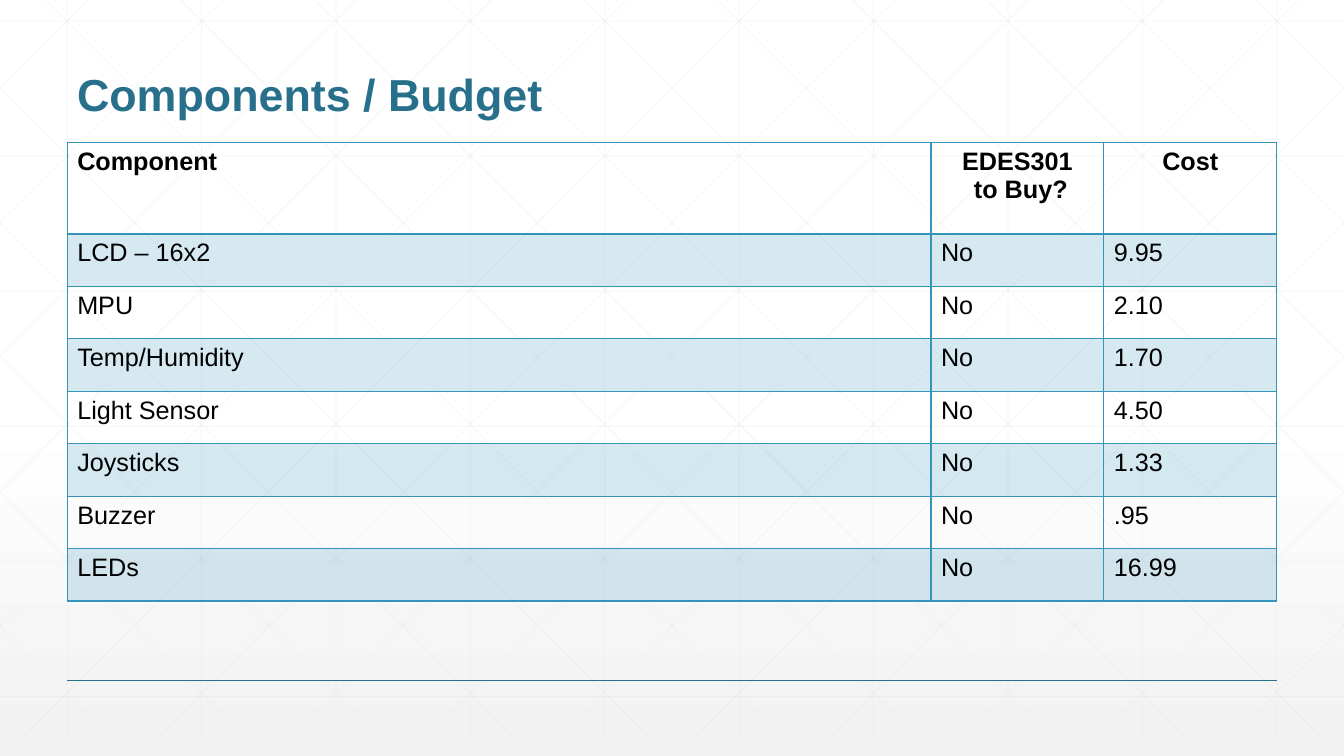
from dataclasses import dataclass

from lxml.etree import SubElement as Sub
from pptx import Presentation
from pptx.dml.color import RGBColor as Rgb
from pptx.enum.shapes import MSO_CONNECTOR as Conn
from pptx.enum.text import MSO_ANCHOR as Anchor, PP_ALIGN as Align
from pptx.oxml.ns import qn
from pptx.util import Pt


@dataclass(frozen=True)
class Theme:
    font: str = "Arial"
    title: Rgb = Rgb(0x27, 0x6F, 0x8B)
    accent: Rgb = Rgb(0x34, 0x94, 0xBA)
    text: Rgb = Rgb(0, 0, 0)
    grid: Rgb = Rgb(0xD9, 0xD9, 0xD9)
    top: Rgb = Rgb(0xFF, 0xFF, 0xFF)
    base: Rgb = Rgb(0xF2, 0xF2, 0xF2)
    big: int = 32
    body: int = 18


THEME = Theme()
WIDE, HIGH = 960, 540
LEFT, SPAN = 48, 864
STEP = 96
FLOOR = 525  # lower end of the grid

HEAD = ["Component", "EDES301\n to Buy?", "Cost"]
PARTS = [
    ("LCD – 16x2", "9.95"),
    ("MPU", "2.10"),
    ("Temp/Humidity", "1.70"),
    ("Light Sensor", "4.50"),
    ("Joysticks", "1.33"),
    ("Buzzer", ".95"),
    ("LEDs", "16.99"),
]


def put(item, **values):
    for name, value in values.items():
        setattr(item, name, value)


def fade(fill, color, share):
    """Fill with a colour at the given opacity in percent."""
    fill.solid()
    fill.fore_color.rgb = color
    for node in fill._xPr.iter(qn("a:srgbClr")):
        Sub(node, qn("a:alpha"), val=str(share * 1000))


def rule(slide, start, end, color, width, share=100):
    line = slide.shapes.add_connector(
        Conn.STRAIGHT, *(Pt(v) for v in (*start, *end)))
    line.line.width = Pt(width)
    fade(line.line.fill, color, share)
    Sub(line._element.spPr, qn("a:effectLst"))


def write(frame, text, size, color, bold=False, **form):
    frame.text = text
    for para in frame.paragraphs:
        put(para, **form)
        put(para.font, name=THEME.font, size=Pt(size), bold=bold)
        para.font.color.rgb = color


def paint(slide):
    fill = slide.background.fill
    fill.gradient()
    fill.gradient_angle = 270
    stops = ((0.53, THEME.top), (1, THEME.base))
    for stop, (place, color) in zip(fill.gradient_stops, stops):
        stop.position = place
        stop.color.rgb = color


def mesh(slide):
    """Draw the faint grid with its mirrored diagonals, cut at the edges."""
    def faint(start, end):
        rule(slide, start, end, THEME.grid, 0.5, 25)

    for i in range(10):
        x = LEFT + STEP * i
        faint((x, 0), (x, FLOOR))
    for i in range(6):
        y = 15 + 96.5 * i
        faint((0, y), (WIDE, y))
    for i in range(-5, 10):
        x = 33 + STEP * i
        high = max(0, -x)
        low = min(FLOOR, WIDE - x)
        faint((x + high, high), (x + low, low))
        faint((WIDE - x - high, high), (WIDE - x - low, low))


def title(slide, text):
    box = slide.shapes.add_textbox(Pt(LEFT), Pt(18), Pt(SPAN), Pt(72))
    put(box.text_frame, word_wrap=True, vertical_anchor=Anchor.BOTTOM)
    write(box.text_frame, text, THEME.big, THEME.title, True, line_spacing=0.9)


def edge(cell, **widths):
    """Set cell borders, each side given as its width in points."""
    props = cell._tc.get_or_add_tcPr()
    for side, width in widths.items():
        line = Sub(props, qn("a:ln" + side), w=str(Pt(width)))
        Sub(Sub(line, qn("a:solidFill")), qn("a:srgbClr"),
            val=str(THEME.accent))


def budget(slide):
    rows = [HEAD] + [(name, "No", cost) for name, cost in PARTS]
    cols = (617, 123.5, 123.5)
    sizes = [65] + [37.5] * len(PARTS)
    table = slide.shapes.add_table(
        len(rows), len(cols), Pt(LEFT), Pt(102), Pt(SPAN), Pt(sum(sizes))).table
    put(table, first_row=False, horz_banding=False)
    for col, width in zip(table.columns, cols):
        col.width = Pt(width)
    for r, (row, size) in enumerate(zip(rows, sizes)):
        table.rows[r].height = Pt(size)
        for c, text in enumerate(row):
            cell = table.cell(r, c)
            head = r == 0
            side = Align.CENTER if head and c else Align.LEFT
            write(cell.text_frame, text, THEME.body, THEME.text, head,
                  alignment=side)
            edge(cell, L=1, R=1, T=2 if r == 1 else 1, B=2 if head else 1)
            if r % 2:
                fade(cell.fill, THEME.accent, 20)
            else:
                cell.fill.background()


def main():
    deck = Presentation()
    put(deck, slide_width=Pt(WIDE), slide_height=Pt(HIGH))
    slide = deck.slides.add_slide(deck.slide_layouts[6])
    paint(slide)
    mesh(slide)
    rule(slide, (LEFT, 486), (LEFT + SPAN, 486), THEME.title, 1)
    title(slide, "Components / Budget")
    budget(slide)
    deck.save("out.pptx")


if __name__ == "__main__":
    main()
